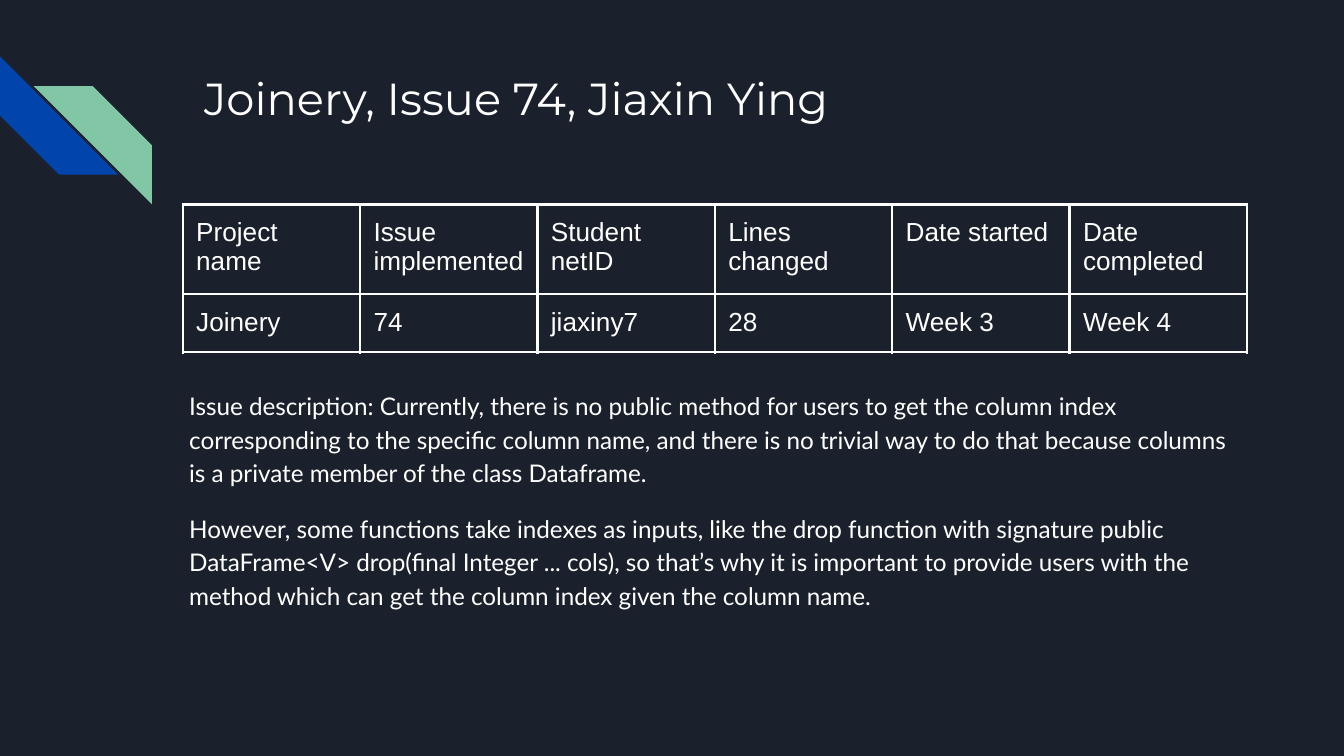
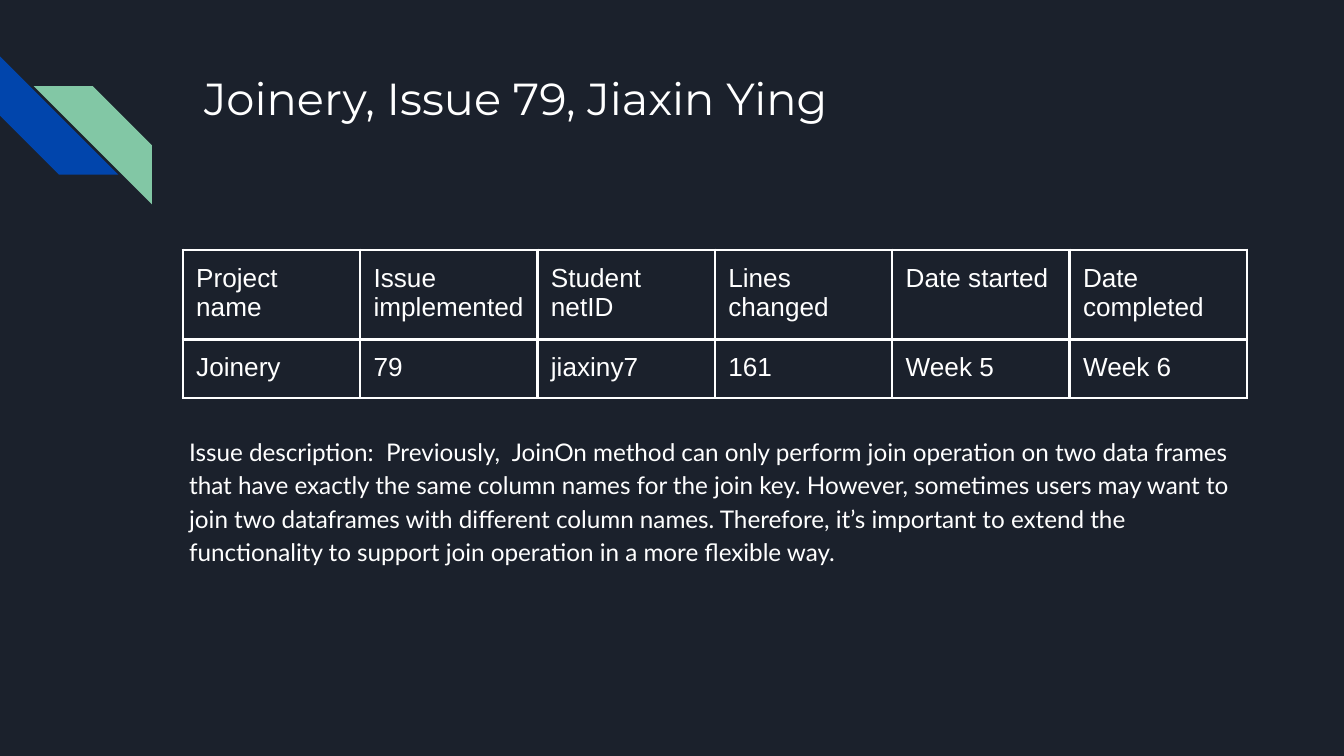
from dataclasses import dataclass

from lxml.etree import SubElement
from pptx import Presentation
from pptx.dml.color import RGBColor
from pptx.enum.shapes import MSO_SHAPE
from pptx.enum.text import MSO_ANCHOR
from pptx.oxml.ns import qn
from pptx.slide import Slide
from pptx.util import Inches, Pt

WIDE = Inches(10)
HIGH = WIDE * 9 // 16
HUES = {"back": "1B212C", "blue": "0145AC", "green": "82C7A5", "text": "FFFFFF"}
FONTS = {
    "title": {"name": "Montserrat", "size": Pt(24)},
    "body": {"name": "Lato", "size": Pt(13)},
    "cell": {"name": "Arial", "size": Pt(14)},
}
SIDES = ("left", "top", "right", "bottom")
PAD = {f"margin_{side}": Inches(0.1) for side in SIDES}
HEADS = ("Project name", "Issue implemented", "Student netID",
         "Lines changed", "Date started", "Date completed")
COL, ROW = Inches(1.32), Inches(0.42)


@dataclass
class Stripe:
    left: float
    top: float
    turn: int
    hue: str


@dataclass
class Issue:
    title: str
    top: float
    row: tuple[str, ...]
    notes: tuple[str, ...]


STRIPES = (Stripe(0, 0.42, 270, "blue"), Stripe(0.25, 0.64, 90, "green"))

ISSUES = (
    Issue(
        "Joinery, Issue 74, Jiaxin Ying", 1.52,
        ("Joinery", "74", "jiaxiny7", "28", "Week 3", "Week 4"),
        ("Issue description: Currently, there is no public method for users to get "
         "the column index corresponding to the specific column name, and there is "
         "no trivial way to do that because columns is a private member of the "
         "class Dataframe.",
         "However, some functions take indexes as inputs, like the drop function "
         "with signature public DataFrame<V> drop(final Integer ... cols), so "
         "that’s why it is important to provide users with the method which can "
         "get the column index given the column name."),
    ),
    Issue(
        "Joinery, Issue 79, Jiaxin Ying", 1.86,
        ("Joinery", "79", "jiaxiny7", "161", "Week 5", "Week 6"),
        ("Issue description:  Previously,  JoinOn method can only perform join "
         "operation on two data frames that have exactly the same column names for "
         "the join key. However, sometimes users may want to join two dataframes "
         "with different column names. Therefore, it’s important to extend the "
         "functionality to support join operation in a more flexible way.",),
    ),
)


def tint(hue: str) -> RGBColor:
    return RGBColor.from_string(HUES[hue])


def apply(target: object, values: dict) -> None:
    """Set each named attribute of the target."""
    for name, value in values.items():
        setattr(target, name, value)


def write(para, words: str, kind: str) -> None:
    """Put the words in one run with the font of their kind."""
    run = para.add_run()
    run.text = words
    apply(run.font, FONTS[kind])
    run.font.color.rgb = tint("text")


def add_stripe(slide: Slide, item: Stripe) -> None:
    shape = slide.shapes.add_shape(
        MSO_SHAPE.DIAGONAL_STRIPE, Inches(item.left), Inches(item.top),
        Inches(0.88), Inches(0.88))
    shape.rotation = item.turn
    shape.shadow.inherit = False
    shape.fill.solid()
    shape.fill.fore_color.rgb = tint(item.hue)
    shape.line.fill.background()


def add_text(slide: Slide, box: tuple[float, ...], lines: tuple[str, ...],
             kind: str, space: dict) -> None:
    frame = slide.shapes.add_textbox(*map(Inches, box)).text_frame
    apply(frame, {"word_wrap": True, "vertical_anchor": MSO_ANCHOR.TOP, **PAD})
    for i, line in enumerate(lines):
        para = frame.paragraphs[0] if i == 0 else frame.add_paragraph()
        apply(para, space)
        if i:
            para.space_before = Pt(12)
        write(para, line, kind)


def add_edges(cell) -> None:
    """Draw a thin line on all four sides of a cell."""
    props = cell._tc.get_or_add_tcPr()
    for i, tag in enumerate(("a:lnL", "a:lnR", "a:lnT", "a:lnB")):
        line = SubElement(props, qn(tag), w=str(Pt(1.5)))
        fill = SubElement(line, qn("a:solidFill"))
        SubElement(fill, qn("a:srgbClr"), val=HUES["text"])
        props.insert(i, line)


def add_grid(slide: Slide, top: float, rows: tuple[tuple[str, ...], ...]) -> None:
    count = len(HEADS)
    table = slide.shapes.add_table(
        len(rows), count, Inches(1.36), Inches(top),
        COL * count, ROW * len(rows)).table
    apply(table, {"first_row": False, "horz_banding": False})
    for col in table.columns:
        col.width = COL
    for row, texts in zip(table.rows, rows):
        row.height = ROW
        for cell, words in zip(row.cells, texts):
            apply(cell, PAD)
            cell.fill.background()
            add_edges(cell)
            para = cell.text_frame.paragraphs[0]
            para.line_spacing = 1.0
            write(para, words, "cell")


def add_issue(deck, issue: Issue) -> None:
    slide = deck.slides.add_slide(deck.slide_layouts[6])
    slide.background.fill.solid()
    slide.background.fill.fore_color.rgb = tint("back")
    for item in STRIPES:
        add_stripe(slide, item)
    add_text(slide, (1.42, 0.43, 7.7, 1), (issue.title,), "title", {})
    add_text(slide, (1.31, issue.top + 1.26, 8.07, 2.4), issue.notes, "body",
             {"line_spacing": 1.15})
    add_grid(slide, issue.top, (HEADS, issue.row))


def main() -> None:
    deck = Presentation()
    apply(deck, {"slide_width": WIDE, "slide_height": HIGH})
    for issue in ISSUES:
        add_issue(deck, issue)
    deck.save("out.pptx")


if __name__ == "__main__":
    main()
